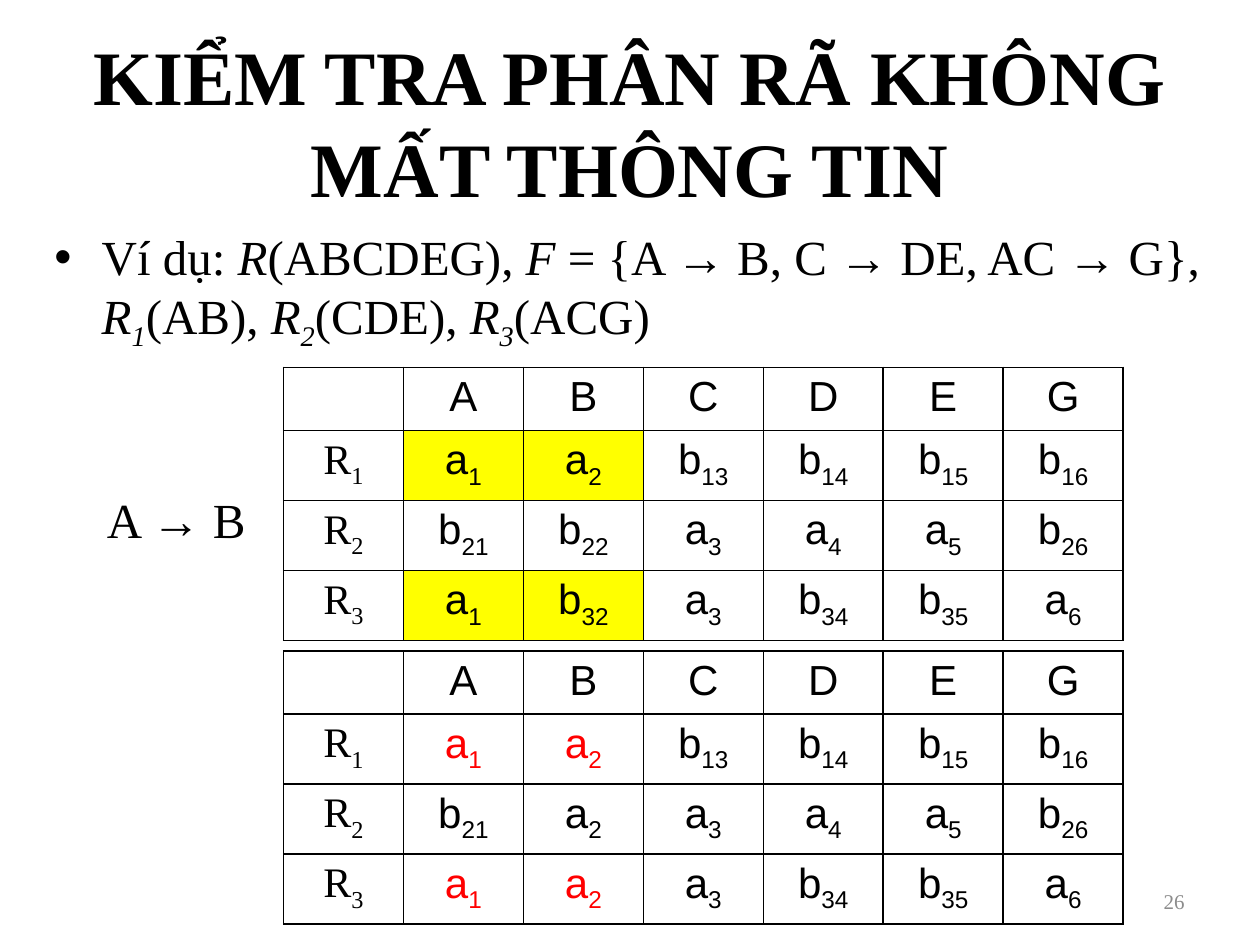
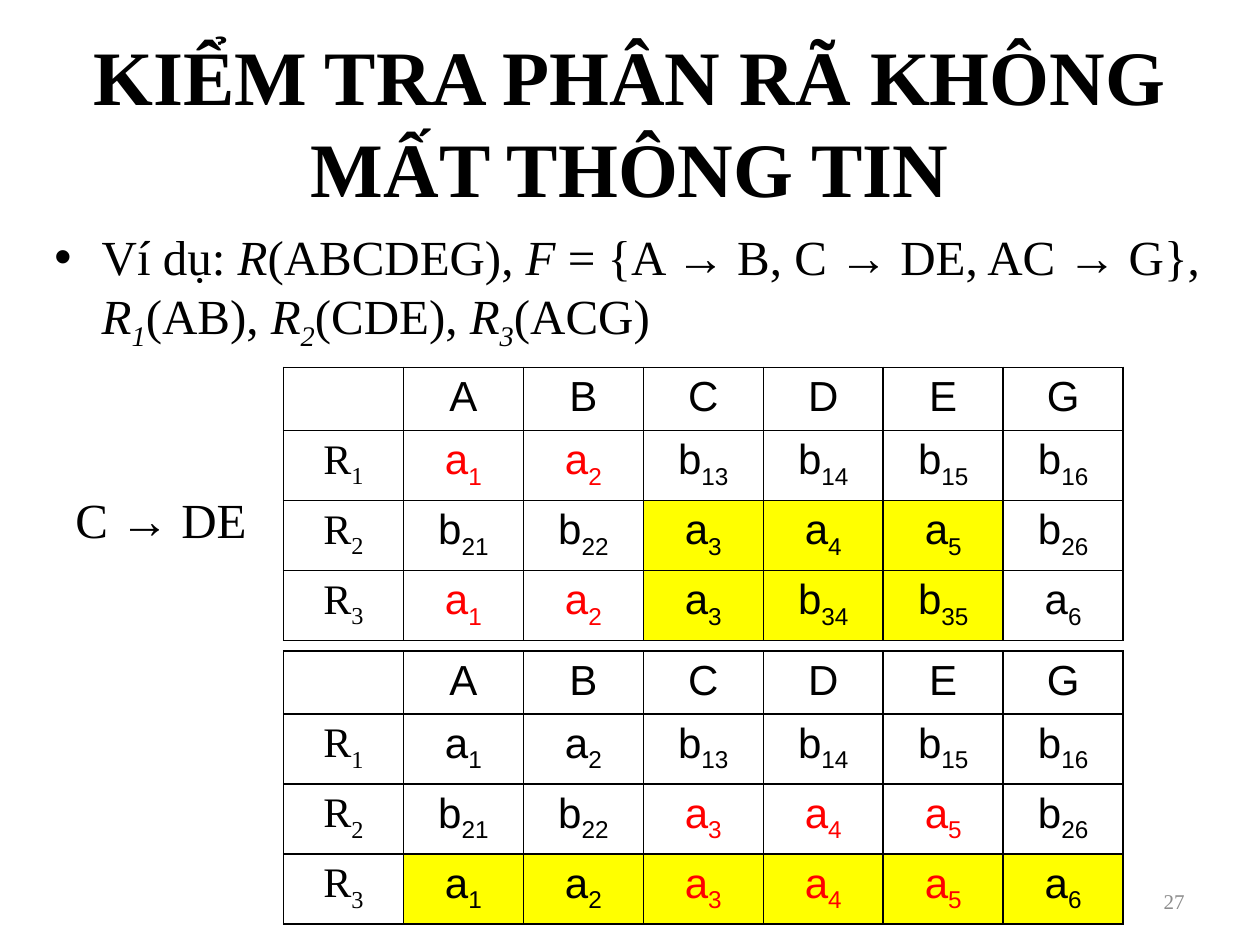
from lxml.etree import SubElement
from pptx import Presentation
from pptx.dml.color import RGBColor
from pptx.enum.text import MSO_ANCHOR, PP_ALIGN
from pptx.oxml.ns import qn
from pptx.util import Pt

BLACK = RGBColor(0x00, 0x00, 0x00)
GRAY = RGBColor(0x8C, 0x8C, 0x8C)
WHITE = RGBColor(0xFF, 0xFF, 0xFF)
YELLOW = RGBColor(0xFF, 0xFF, 0x00)
RED = RGBColor(0xFF, 0x00, 0x00)
SERIF = "Times New Roman"
SANS = "Arial"

TITLE_FORMAT = {"name": SERIF, "size": Pt(44), "bold": True}
BODY_FORMAT = {"name": SERIF, "size": Pt(28)}
NUMBER_FORMAT = {"name": SERIF, "size": Pt(12)}
CELL_FORMAT = {"name": SANS, "size": Pt(24)}
ROW_LABEL_FORMAT = {**CELL_FORMAT, "name": SERIF}

TITLE = "KIỂM TRA PHÂN RÃ KHÔNG MẤT THÔNG TIN"
# Each part is text, italic part, subscript of the italic part.
EXAMPLE = [
    ("Ví dụ: ", "R", ""),
    ("(ABCDEG), ", "F", ""),
    (" = {A → B, C → DE, AC → G}, ", "R", "1"),
    ("(AB), ", "R", "2"),
    ("(CDE), ", "R", "3"),
    ("(ACG)", "", ""),
]

ATTRIBUTES = "ABCDEG"
R1 = "a1 a2 b13 b14 b15 b16"
R2 = "b21 b22 a3 a4 a5 b26"
R2_WITH_A2 = "b21 a2 a3 a4 a5 b26"
R3_START = "a1 b32 a3 b34 b35 a6"
R3_AFTER_AB = "a1 a2 a3 b34 b35 a6"
R3_AFTER_CDE = "a1 a2 a3 a4 a5 a6"

TABLE_LEFT = 162
TABLE_TOPS = (210, 372)
COLUMN_WIDTH = 68.57
HEADER_HEIGHT = 34.2
ROW_HEIGHT = 37.8
RULE_RIGHT = 150

# Red and yellow give, for each relation, the marked attributes.
STEPS = [
    {
        "number": "26", "rule": "A → B", "rule_left": 54,
        "tables": [
            {"rows": [R1, R2, R3_START], "yellow": {"R1": "AB", "R3": "AB"}},
            {"rows": [R1, R2_WITH_A2, R3_AFTER_AB], "red": {"R1": "AB", "R3": "AB"}},
        ],
    },
    {
        "number": "27", "rule": "C → DE", "rule_left": 36,
        "tables": [
            {"rows": [R1, R2, R3_AFTER_AB], "red": {"R1": "AB", "R3": "AB"},
             "yellow": {"R2": "CDE", "R3": "CDE"}},
            {"rows": [R1, R2, R3_AFTER_CDE], "red": {"R2": "CDE", "R3": "CDE"},
             "yellow": {"R3": ATTRIBUTES}},
        ],
    },
]


def add_run(paragraph, text, font_format, color=BLACK, subscript=False):
    if not text:
        return
    run = paragraph.add_run()
    run.text = text
    for name, value in font_format.items():
        setattr(run.font, name, value)
    run.font.color.rgb = color
    if subscript:
        run._r.get_or_add_rPr().set("baseline", "-25000")


def add_text_box(slide, left, top, width, height, anchor=MSO_ANCHOR.TOP,
                 alignment=PP_ALIGN.LEFT):
    """Add an empty wrapping box and return its first paragraph."""
    box = slide.shapes.add_textbox(Pt(left), Pt(top), Pt(width), Pt(height))
    box.text_frame.word_wrap = True
    box.text_frame.vertical_anchor = anchor
    paragraph = box.text_frame.paragraphs[0]
    paragraph.alignment = alignment
    return paragraph


def add_title(slide):
    paragraph = add_text_box(slide, 36, 24, 648, 90, MSO_ANCHOR.MIDDLE, PP_ALIGN.CENTER)
    add_run(paragraph, TITLE, TITLE_FORMAT)


def add_example(slide):
    paragraph = add_text_box(slide, 24, 129.6, 672, 356.4)
    paragraph.line_spacing = 0.9
    properties = paragraph._p.get_or_add_pPr()
    properties.set("marL", str(Pt(27)))
    properties.set("indent", str(-Pt(27)))
    SubElement(properties, qn("a:buFont"), typeface=SANS)
    SubElement(properties, qn("a:buChar"), char="•")
    italic_format = {**BODY_FORMAT, "italic": True}
    for text, symbol, index in EXAMPLE:
        add_run(paragraph, text, BODY_FORMAT)
        add_run(paragraph, symbol, italic_format)
        add_run(paragraph, index, italic_format, subscript=True)


def add_page_number(slide, number):
    paragraph = add_text_box(slide, 516, 500.4, 168, 28.8, MSO_ANCHOR.MIDDLE, PP_ALIGN.RIGHT)
    add_run(paragraph, number, NUMBER_FORMAT, GRAY)


def add_rule(slide, rule, left):
    paragraph = add_text_box(slide, left, 276, RULE_RIGHT - left, 41)
    add_run(paragraph, rule, BODY_FORMAT)


def set_borders(cell):
    properties = cell._tc.get_or_add_tcPr()
    for side in ("lnL", "lnR", "lnT", "lnB"):
        line = SubElement(properties, qn(f"a:{side}"), w=str(Pt(1)))
        fill = SubElement(line, qn("a:solidFill"))
        SubElement(fill, qn("a:srgbClr"), val=str(BLACK))


def fill_cell(cell, symbol, font_format=CELL_FORMAT, color=BLACK, background=WHITE):
    """Write a letter followed by its subscript index, if any."""
    set_borders(cell)
    cell.fill.solid()
    cell.fill.fore_color.rgb = background
    paragraph = cell.text_frame.paragraphs[0]
    paragraph.alignment = PP_ALIGN.CENTER
    add_run(paragraph, symbol[:1], font_format, color)
    add_run(paragraph, symbol[1:], font_format, color, subscript=True)


def add_tableau(slide, top, rows, red=None, yellow=None):
    red, yellow = red or {}, yellow or {}
    column_count = len(ATTRIBUTES) + 1
    height = HEADER_HEIGHT + ROW_HEIGHT * len(rows)
    table = slide.shapes.add_table(
        len(rows) + 1, column_count, Pt(TABLE_LEFT), Pt(top),
        Pt(COLUMN_WIDTH * column_count), Pt(height)).table
    table.first_row = False
    table.horz_banding = False
    for column in table.columns:
        column.width = Pt(COLUMN_WIDTH)
    for index, row in enumerate(table.rows):
        row.height = Pt(ROW_HEIGHT if index else HEADER_HEIGHT)

    fill_cell(table.cell(0, 0), "")
    for column, attribute in enumerate(ATTRIBUTES, 1):
        fill_cell(table.cell(0, column), attribute)
    for row, symbols in enumerate(rows, 1):
        relation = f"R{row}"
        fill_cell(table.cell(row, 0), relation, ROW_LABEL_FORMAT)
        for column, (attribute, symbol) in enumerate(zip(ATTRIBUTES, symbols.split()), 1):
            fill_cell(
                table.cell(row, column), symbol,
                color=RED if attribute in red.get(relation, "") else BLACK,
                background=YELLOW if attribute in yellow.get(relation, "") else WHITE)


def add_step_slide(presentation, step):
    slide = presentation.slides.add_slide(presentation.slide_layouts[6])
    add_title(slide)
    add_example(slide)
    add_page_number(slide, step["number"])
    for top, tableau in zip(TABLE_TOPS, step["tables"]):
        add_tableau(slide, top, **tableau)
    add_rule(slide, step["rule"], step["rule_left"])


def main():
    presentation = Presentation()
    presentation.slide_width = Pt(720)
    presentation.slide_height = Pt(540)
    for step in STEPS:
        add_step_slide(presentation, step)
    presentation.save("out.pptx")


if __name__ == "__main__":
    main()
